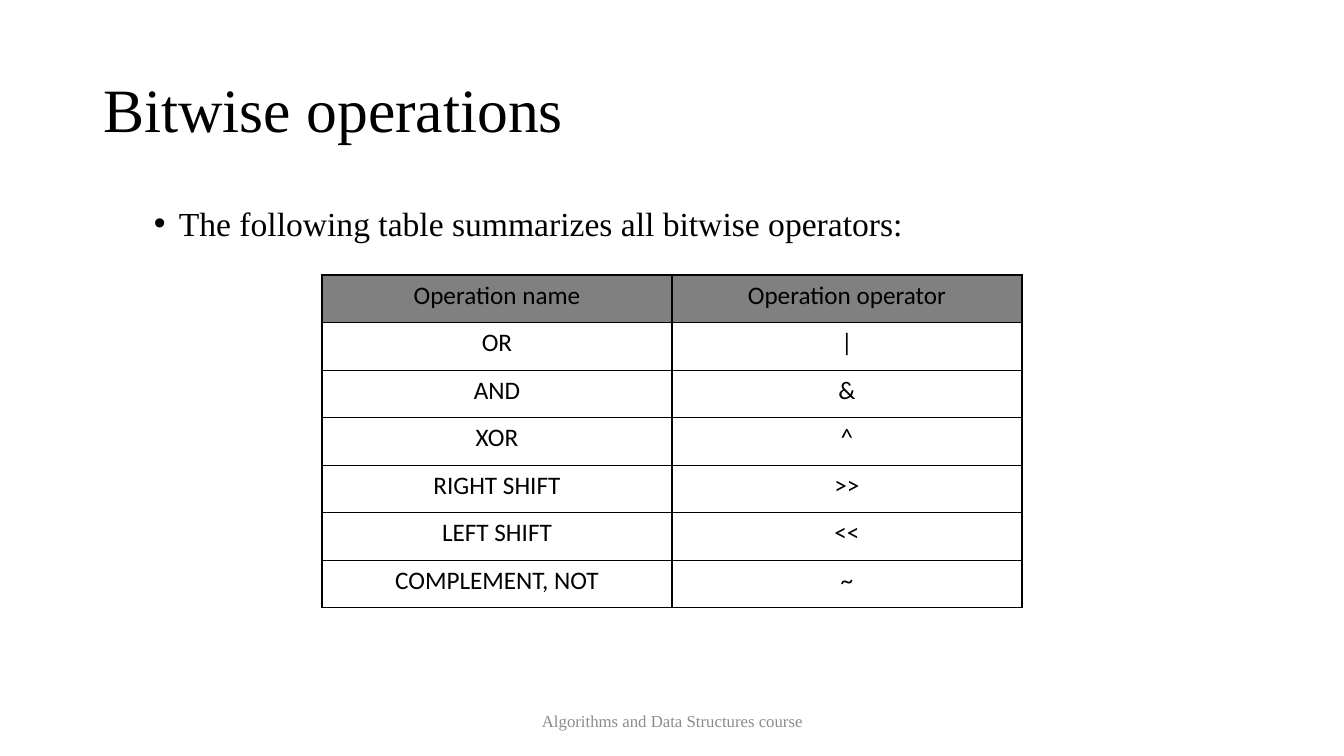
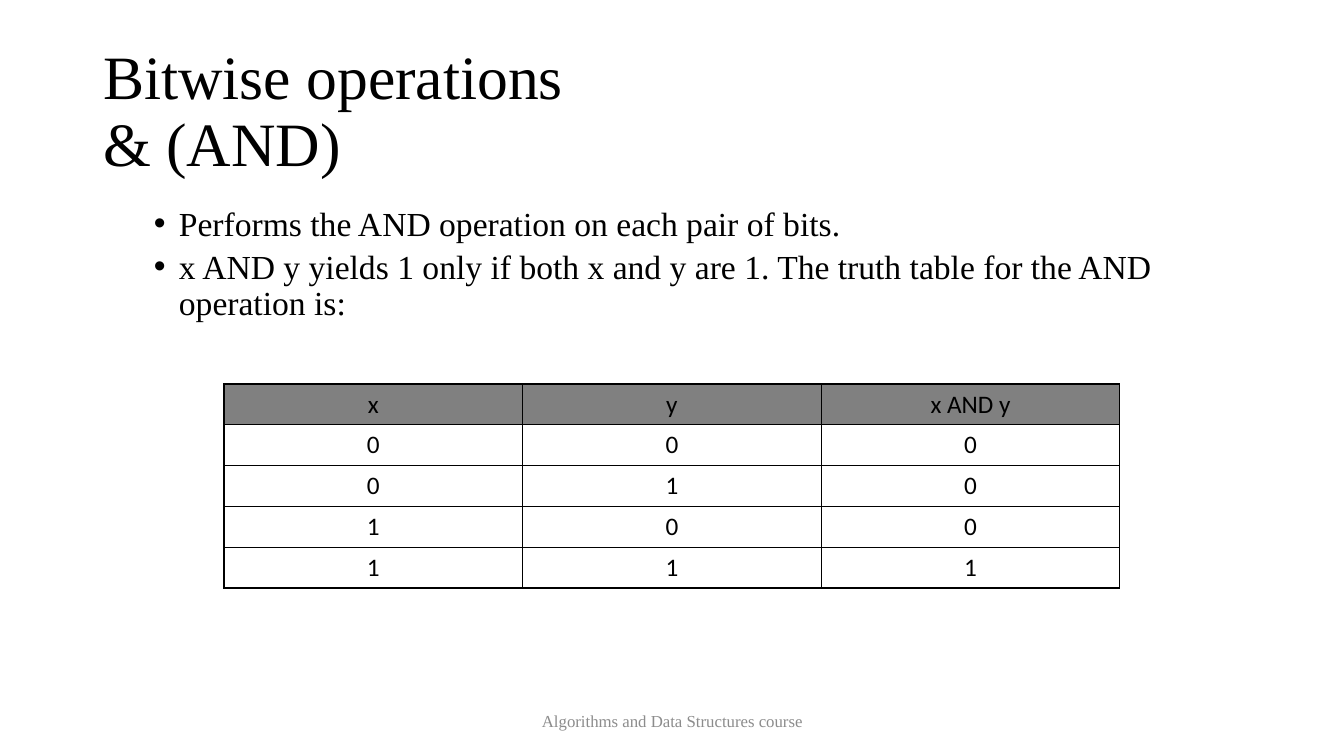
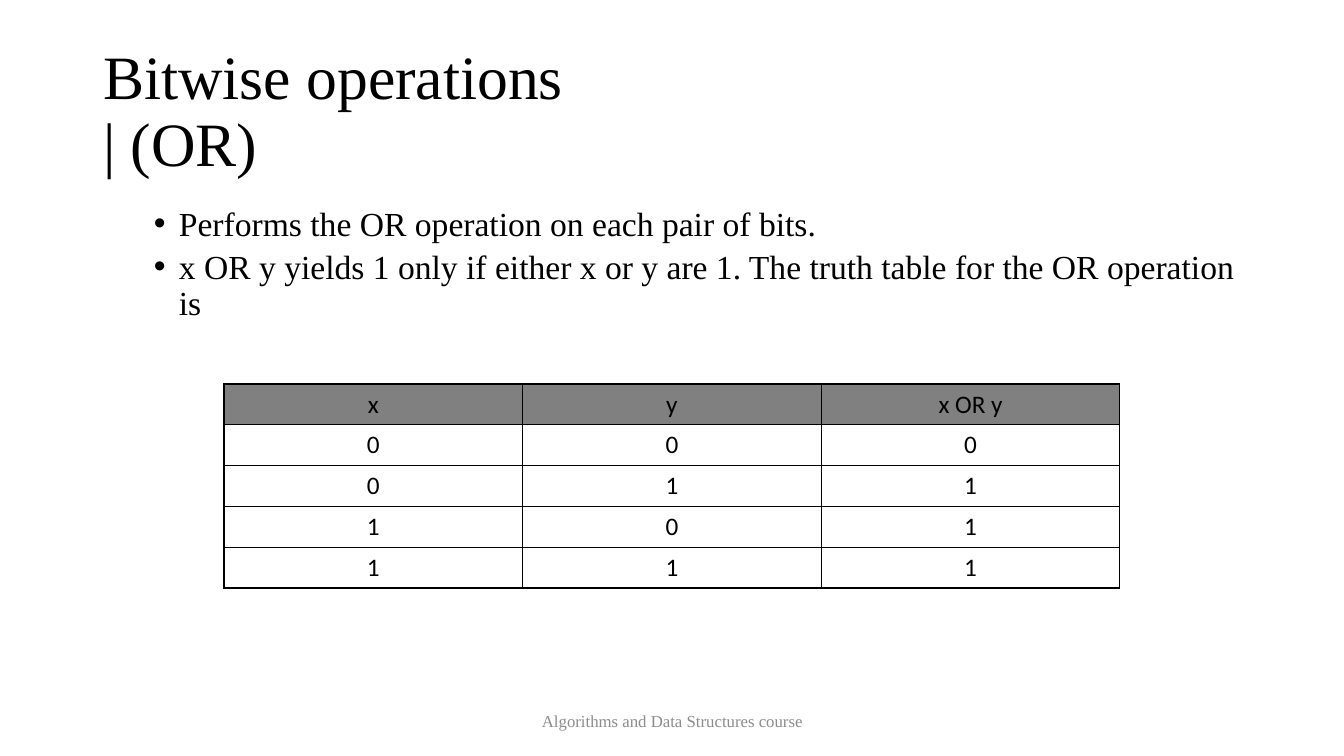
from itertools import product

from lxml.etree import SubElement
from pptx import Presentation
from pptx.dml.color import RGBColor
from pptx.enum.text import MSO_ANCHOR, MSO_AUTO_SIZE, PP_ALIGN
from pptx.oxml.ns import qn
from pptx.util import Pt

EMU_PER_PX = 914400 / 100.8
BLACK = RGBColor(0x00, 0x00, 0x00)
HEADER_GRAY = RGBColor(0x80, 0x80, 0x80)
FOOTER_GRAY = RGBColor(0x8C, 0x8C, 0x8C)
SERIF = "Times New Roman"
SANS = "Calibri"
TITLE_ONLY = 5
TITLE_BOX = (93, 40, 1159, 146)
BODY_BOX = (93, 202, 1159, 480)
FOOTER_BOX = (446, 701, 453, 40)
OPERATORS_BOX = (322, 275, 700, 333)
TRUTH_BOX = (224, 384, 896, 204)
BULLET_LEFT, BULLET_HANG = 76, 25
FOOTER = "Algorithms and Data Structures course"

OPERATORS = [
    ("Operation name", "Operation operator"),
    ("OR", "|"),
    ("AND", "&"),
    ("XOR", "^"),
    ("RIGHT SHIFT", ">>"),
    ("LEFT SHIFT", "<<"),
    ("COMPLEMENT, NOT", "~"),
]


def px(length):
    return round(length * EMU_PER_PX)


def box_emu(box):
    return [px(length) for length in box]


def style(paragraph, font_name, size, color, align):
    paragraph.alignment = align
    paragraph.font.name = font_name
    paragraph.font.size = Pt(size)
    paragraph.font.color.rgb = color


def add_text_frame(slide, box):
    frame = slide.shapes.add_textbox(*box_emu(box)).text_frame
    frame.word_wrap = True
    return frame


def set_title(slide, text):
    title = slide.shapes.title
    title.left, title.top, title.width, title.height = box_emu(TITLE_BOX)
    frame = title.text_frame
    frame.auto_size = MSO_AUTO_SIZE.NONE
    frame.vertical_anchor = MSO_ANCHOR.MIDDLE
    heading = frame.paragraphs[0]
    heading.text = text
    heading.line_spacing = 0.9
    style(heading, SERIF, 44, BLACK, PP_ALIGN.LEFT)


def add_bullets(slide, sentences):
    frame = add_text_frame(slide, BODY_BOX)
    for index, sentence in enumerate(sentences):
        bullet = frame.add_paragraph() if index else frame.paragraphs[0]
        bullet.text = sentence
        bullet.line_spacing = 0.9
        bullet.space_before = Pt(5)
        properties = bullet._p.get_or_add_pPr()
        properties.set("marL", str(px(BULLET_LEFT)))
        properties.set("indent", str(-px(BULLET_HANG)))
        SubElement(properties, qn("a:buFont"), typeface="Arial")
        SubElement(properties, qn("a:buChar"), char="•")
        style(bullet, SERIF, 24, BLACK, PP_ALIGN.LEFT)


def add_footer(slide):
    frame = add_text_frame(slide, FOOTER_BOX)
    frame.vertical_anchor = MSO_ANCHOR.MIDDLE
    course = frame.paragraphs[0]
    course.text = FOOTER
    style(course, SERIF, 12, FOOTER_GRAY, PP_ALIGN.CENTER)


def add_borders(cell):
    properties = cell._tc.get_or_add_tcPr()
    for side in ("lnL", "lnR", "lnT", "lnB"):
        line = SubElement(properties, qn(f"a:{side}"), w=str(Pt(1)))
        fill = SubElement(line, qn("a:solidFill"))
        SubElement(fill, qn("a:srgbClr"), val=str(BLACK))


def add_grid(slide, box, rows):
    grid = slide.shapes.add_table(len(rows), len(rows[0]), *box_emu(box)).table
    grid.first_row = grid.horz_banding = False
    for row, column in product(range(len(rows)), range(len(rows[0]))):
        cell = grid.cell(row, column)
        add_borders(cell)
        if row == 0:
            cell.fill.solid()
            cell.fill.fore_color.rgb = HEADER_GRAY
        else:
            cell.fill.background()
        entry = cell.text_frame.paragraphs[0]
        entry.text = rows[row][column]
        style(entry, SANS, 18, BLACK, PP_ALIGN.CENTER)


def truth_rows(name, operation):
    rows = [("x", "y", f"x {name} y")]
    for x, y in product((0, 1), repeat=2):
        rows.append((str(x), str(y), str(operation(x, y))))
    return rows


def add_slide(deck, title, sentences, box, rows):
    slide = deck.slides.add_slide(deck.slide_layouts[TITLE_ONLY])
    set_title(slide, title)
    add_bullets(slide, sentences)
    add_footer(slide)
    add_grid(slide, box, rows)


def add_truth_slide(deck, symbol, name, conclusion, operation):
    sentences = [f"Performs the {name} operation on each pair of bits.", conclusion]
    add_slide(deck, f"Bitwise operations\n{symbol} ({name})", sentences,
              TRUTH_BOX, truth_rows(name, operation))


def main():
    deck = Presentation()
    deck.slide_width, deck.slide_height = px(1344), px(756)
    add_slide(deck, "Bitwise operations",
              ["The following table summarizes all bitwise operators:"],
              OPERATORS_BOX, OPERATORS)
    add_truth_slide(
        deck, "&", "AND",
        "x AND y yields 1 only if both x and y are 1. "
        "The truth table for the AND operation is:",
        lambda x, y: x & y)
    add_truth_slide(
        deck, "|", "OR",
        "x OR y yields 1 only if either x or y are 1. "
        "The truth table for the OR operation is",
        lambda x, y: x | y)
    deck.save("out.pptx")


if __name__ == "__main__":
    main()
